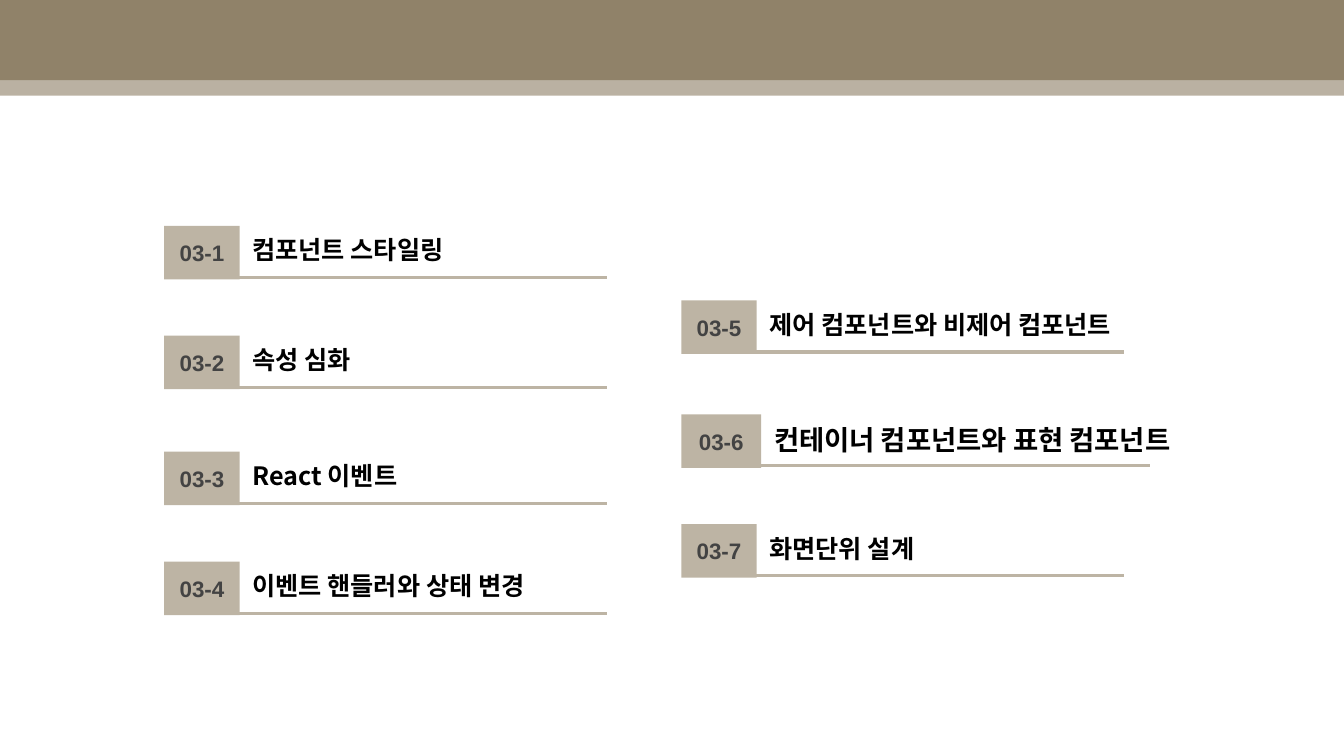
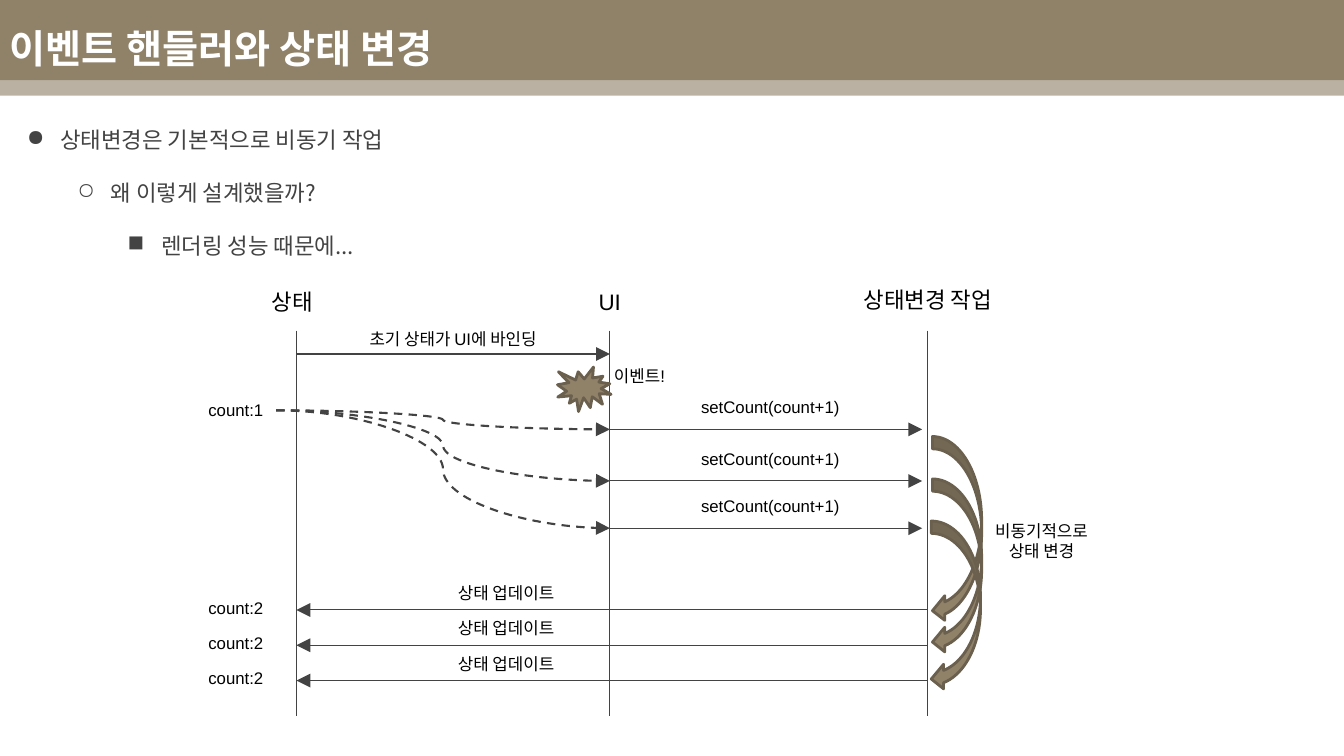
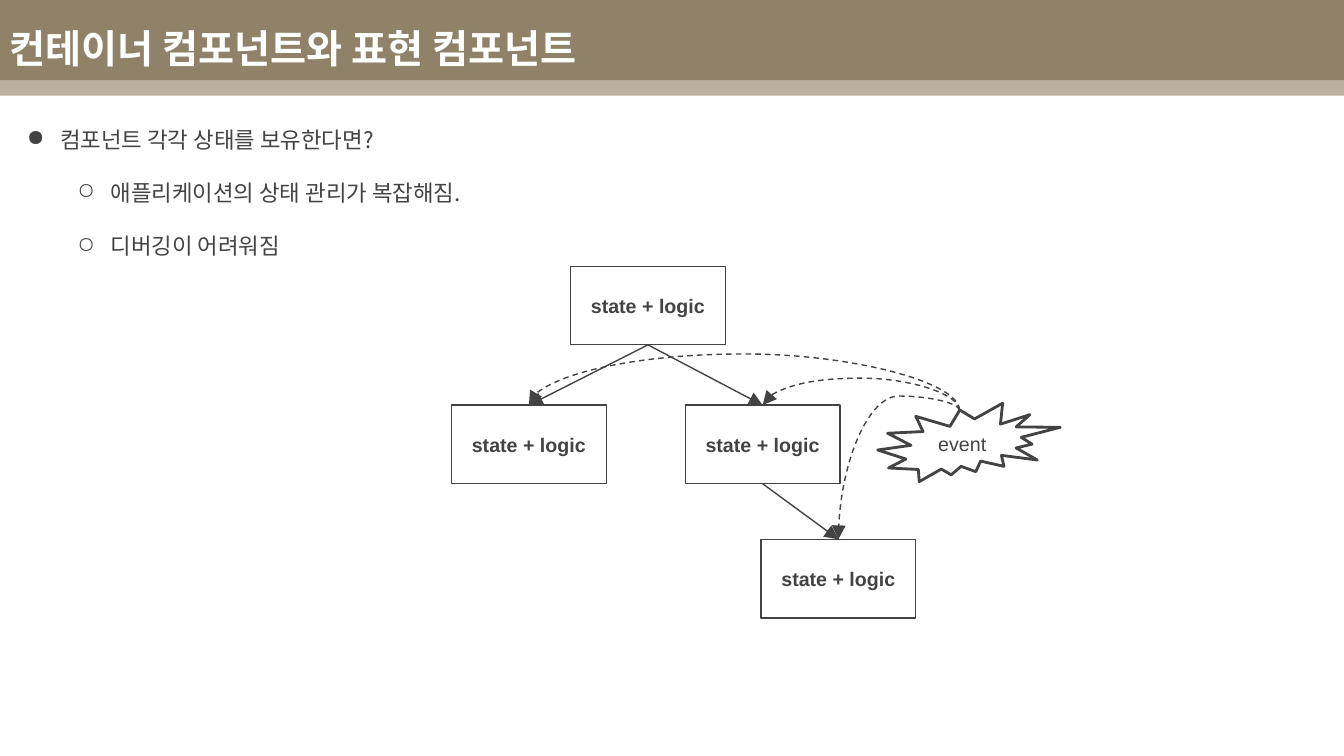
from lxml.etree import SubElement
from pptx import Presentation
from pptx.dml.color import RGBColor
from pptx.enum.dml import MSO_LINE
from pptx.enum.shapes import MSO_CONNECTOR, MSO_SHAPE
from pptx.enum.text import MSO_ANCHOR, PP_ALIGN
from pptx.oxml.ns import qn
from pptx.util import Cm, Pt

OLIVE = RGBColor(0x90, 0x82, 0x69)
SAND = RGBColor(0xBD, 0xB4, 0xA4)
BARK = RGBColor(0x6B, 0x60, 0x4E)
GRAY = RGBColor(0x43, 0x43, 0x43)
BLACK = RGBColor(0, 0, 0)
WHITE = RGBColor(0xFF, 0xFF, 0xFF)
LATIN, KOREAN = "Arial", "Noto Sans CJK KR"
WIDTH, HEIGHT = 33.87, 19.05
BULLETS = "●○■"


class Deck:
    """Holds the style and the current slide; lengths are centimetres."""

    def __init__(self):
        self.presentation = Presentation()
        self.presentation.slide_width = Cm(WIDTH)
        self.presentation.slide_height = Cm(HEIGHT)
        self.slide = None

    def new_slide(self, title=None):
        self.slide = self.presentation.slides.add_slide(self.presentation.slide_layouts[6])
        self.shape(MSO_SHAPE.RECTANGLE, 0, 0, WIDTH, 2.02, OLIVE)
        strip = self.shape(MSO_SHAPE.RECTANGLE, 0, 1.65, WIDTH, 0.76, OLIVE)
        color = strip._element.xpath("./p:spPr/a:solidFill/a:srgbClr")[0]
        SubElement(color, qn("a:alpha"), val="62000")
        if title:
            box = self.text(title, 0, 0.38, 30.48, 1.65, 28, KOREAN, WHITE, bold=True)
            box.text_frame.vertical_anchor = MSO_ANCHOR.MIDDLE

    def style(self, paragraph, size, font, color, bold=False, align=PP_ALIGN.LEFT):
        paragraph.alignment = align
        paragraph.font.size = Pt(size)
        paragraph.font.bold = bold
        paragraph.font.color.rgb = color
        paragraph.font.name = font
        defaults = paragraph._p.pPr.find(qn("a:defRPr"))
        SubElement(defaults, qn("a:ea"), typeface=KOREAN)

    def shape(self, kind, left, top, width, height, fill, line=None, weight=1,
              text=None, size=14, bold=False):
        shape = self.slide.shapes.add_shape(kind, Cm(left), Cm(top), Cm(width), Cm(height))
        shape.shadow.inherit = False
        shape.fill.solid()
        shape.fill.fore_color.rgb = fill
        if line is None:
            shape.line.fill.background()
        else:
            shape.line.color.rgb = line
            shape.line.width = Pt(weight)
        if text:
            shape.text_frame.text = text
            shape.text_frame.vertical_anchor = MSO_ANCHOR.MIDDLE
            self.style(shape.text_frame.paragraphs[0], size, LATIN, GRAY, bold, PP_ALIGN.CENTER)
        return shape

    def text(self, text, left, top, width, height, size, font=LATIN, color=BLACK,
             bold=False, align=PP_ALIGN.LEFT, wrap=True):
        box = self.slide.shapes.add_textbox(Cm(left), Cm(top), Cm(width), Cm(height))
        box.text_frame.word_wrap = wrap
        box.text_frame.text = text
        for paragraph in box.text_frame.paragraphs:
            self.style(paragraph, size, font, color, bold, align)
        return box

    def label(self, text, left, top, width, height=0.76, size=12, wrap=False):
        return self.text(text, left, top, width, height, size,
                         align=PP_ALIGN.CENTER, wrap=wrap)

    def bullets(self, items):
        box = self.slide.shapes.add_textbox(Cm(0), Cm(2.82), Cm(32.64), Cm(15.21))
        frame = box.text_frame
        frame.word_wrap = True
        frame.margin_top = frame.margin_bottom = Cm(0.25)
        for index, (level, item) in enumerate(items):
            paragraph = frame.add_paragraph() if index else frame.paragraphs[0]
            paragraph.text = item
            paragraph.level = level
            properties = paragraph._p.get_or_add_pPr()
            properties.set("marL", str(Cm(1.27 * (level + 1))))
            properties.set("indent", str(Cm(-0.84)))
            bullet_color = SubElement(properties, qn("a:buClr"))
            SubElement(bullet_color, qn("a:srgbClr"), val=str(GRAY))
            SubElement(properties, qn("a:buChar"), char=BULLETS[level])
            paragraph.line_spacing = 1.15
            paragraph.space_before = Pt(16 if index else 0)
            self.style(paragraph, 16, KOREAN, GRAY)

    def line(self, start, end, color=GRAY, weight=0.75, arrow=False, dashed=False,
             kind=MSO_CONNECTOR.STRAIGHT):
        line = self.slide.shapes.add_connector(
            kind, Cm(start[0]), Cm(start[1]), Cm(end[0]), Cm(end[1]))
        line.line.color.rgb = color
        line.line.width = Pt(weight)
        if dashed:
            line.line.dash_style = MSO_LINE.DASH
        properties = line._element.spPr
        if arrow:
            SubElement(properties.find(qn("a:ln")), qn("a:tailEnd"),
                       type="triangle", w="lg", len="lg")
        SubElement(properties, qn("a:effectLst"))
        return line

    def link(self, parent, child):
        line = self.line((0, 0), (1, 1), weight=1, arrow=True)
        line.begin_connect(parent, 2)
        line.end_connect(child, 0)

    def arc(self, source, target, start, end, peak):
        """Dashed curve that leaves upwards, bends at peak and runs left to end."""
        line = self.line(start, end, weight=1, arrow=True, dashed=True,
                         kind=MSO_CONNECTOR.CURVE)
        line.begin_connect(source, 0)
        line.end_connect(target, 0)
        rise, run = end[1] - start[1], abs(end[0] - start[0])
        # A quarter turn makes the curve start vertically
        line.width, line.height = Cm(abs(rise)), Cm(run)
        line.left = Cm((start[0] + end[0] - abs(rise)) / 2)
        line.top = Cm((start[1] + end[1] - run) / 2)
        frame = line._element.spPr.find(qn("a:xfrm"))
        frame.set("rot", str(270 * 60000))
        frame.set("flipH", "1" if rise > 0 else "0")
        frame.set("flipV", "1")
        geometry = line._element.spPr.find(qn("a:prstGeom"))
        adjustments = geometry.find(qn("a:avLst"))
        if adjustments is None:
            adjustments = SubElement(geometry, qn("a:avLst"))
        bend = round((peak - start[1]) / rise * 100000)
        SubElement(adjustments, qn("a:gd"), name="adj1", fmla=f"val {bend}")

    def chapter(self, number, name, left, top, stretch=1, size=18):
        self.shape(MSO_SHAPE.RECTANGLE, left, top, 1.9 * stretch, 1.35, SAND,
                   text=number, size=16, bold=True)
        self.text(name, left + 1.97 * stretch, top + 0.1, 11.05 * stretch, 1.02,
                  size, KOREAN, bold=True)
        self.line((left + 1.88 * stretch, top + 1.3), (left + 11.15 * stretch, top + 1.3),
                  SAND, 2.25)


def contents(deck):
    deck.new_slide()
    left, right = 4.14, 17.17
    deck.chapter("03-1", "컴포넌트 스타일링", left, 5.69)
    deck.chapter("03-2", "속성 심화", left, 8.46)
    deck.chapter("03-3", "React 이벤트", left, 11.38)
    deck.chapter("03-4", "이벤트 핸들러와 상태 변경", left, 14.15)
    deck.chapter("03-5", "제어 컴포넌트와 비제어 컴포넌트", right, 7.57)
    deck.chapter("03-6", "컨테이너 컴포넌트와 표현 컴포넌트", right, 10.44, 1.06, 19.6)
    deck.chapter("03-7", "화면단위 설계", right, 13.21)


def state_sequence(deck):
    deck.new_slide("이벤트 핸들러와 상태 변경")
    deck.bullets([(0, "상태변경은 기본적으로 비동기 작업"),
                  (1, "왜 이렇게 설계했을까?"),
                  (2, "렌더링 성능 때문에...")])

    # Lifelines
    state, ui, task = 7.47, 15.37, 23.37
    for x in (state, ui, task):
        deck.line((x, 8.33), (x, 18.03))
    deck.label("상태", 6.58, 7.14, 1.57, 0.94, 16)
    deck.label("UI", 14.83, 7.14, 1.07, 0.94, 16)
    deck.label("상태변경 작업", 21.44, 7.09, 3.89, 0.94, 16)

    # Initial binding and event
    deck.line((state, 8.92), (ui, 8.92), arrow=True)
    deck.label("초기 상태가 UI에 바인딩", 8.97, 8.15, 4.9, wrap=True)
    deck.shape(MSO_SHAPE.EXPLOSION1, 14.05, 9.25, 1.35, 1.12, OLIVE, BARK, 2)
    deck.label("이벤트!", 15.16, 9.09, 1.91)

    # Calls that all read the same state
    deck.label("count:1", 4.93, 9.96, 2.03)
    for y in (10.82, 12.12, 13.31):
        deck.line((6.96, 10.34), (ui, y), weight=1.5, arrow=True, dashed=True,
                  kind=MSO_CONNECTOR.CURVE)
        deck.line((ui, y), (23.24, y), arrow=True)
        deck.label("setCount(count+1)", 17.27, y - 0.94, 4.29)

    # Asynchronous changes
    for left, top, height in ((23.5, 11, 4.7), (23.5, 12.07, 4.42), (23.47, 13.13, 4.29)):
        deck.shape(MSO_SHAPE.CURVED_LEFT_ARROW, left, top, 1.24, height, OLIVE, BARK, 2)
    deck.label("비동기적으로\n상태 변경", 24.79, 13, 2.92, 1.27)

    # Updates
    for row in range(3):
        y = 15.37 + 0.89 * row
        deck.line((task, y), (state, y), arrow=True)
        deck.label("상태 업데이트", 11.23, y - 0.81, 3.05)
        deck.label("count:2", 4.93, y - 0.44, 2.03)


def component_tree(deck):
    deck.new_slide("컨테이너 컴포넌트와 표현 컴포넌트")
    deck.bullets([(0, "컴포넌트 각각 상태를 보유한다면?"),
                  (1, "애플리케이션의 상태 관리가 복잡해짐."),
                  (1, "디버깅이 어려워짐")])

    # Components
    places = ((14.38, 6.71), (11.38, 10.21), (17.27, 10.21), (19.18, 13.59))
    root, left_child, right_child, leaf = [
        deck.shape(MSO_SHAPE.RECTANGLE, x, y, 3.9, 1.98, WHITE, GRAY, 1,
                   "state + logic", bold=True) for x, y in places]
    for parent, child in ((root, left_child), (root, right_child), (right_child, leaf)):
        deck.link(parent, child)

    # Event reaching three components
    event = deck.shape(MSO_SHAPE.EXPLOSION2, 22.12, 10.16, 4.6, 1.98, WHITE, GRAY, 2, "event")
    targets = ((right_child, places[2], 9.53), (leaf, places[3], 9.98),
               (left_child, places[1], 8.92))
    for target, (x, y), peak in targets:
        deck.arc(event, target, (24.18, 10.34), (x + 1.95, y), peak)


def main():
    deck = Deck()
    contents(deck)
    state_sequence(deck)
    component_tree(deck)
    deck.presentation.save("out.pptx")


if __name__ == "__main__":
    main()
